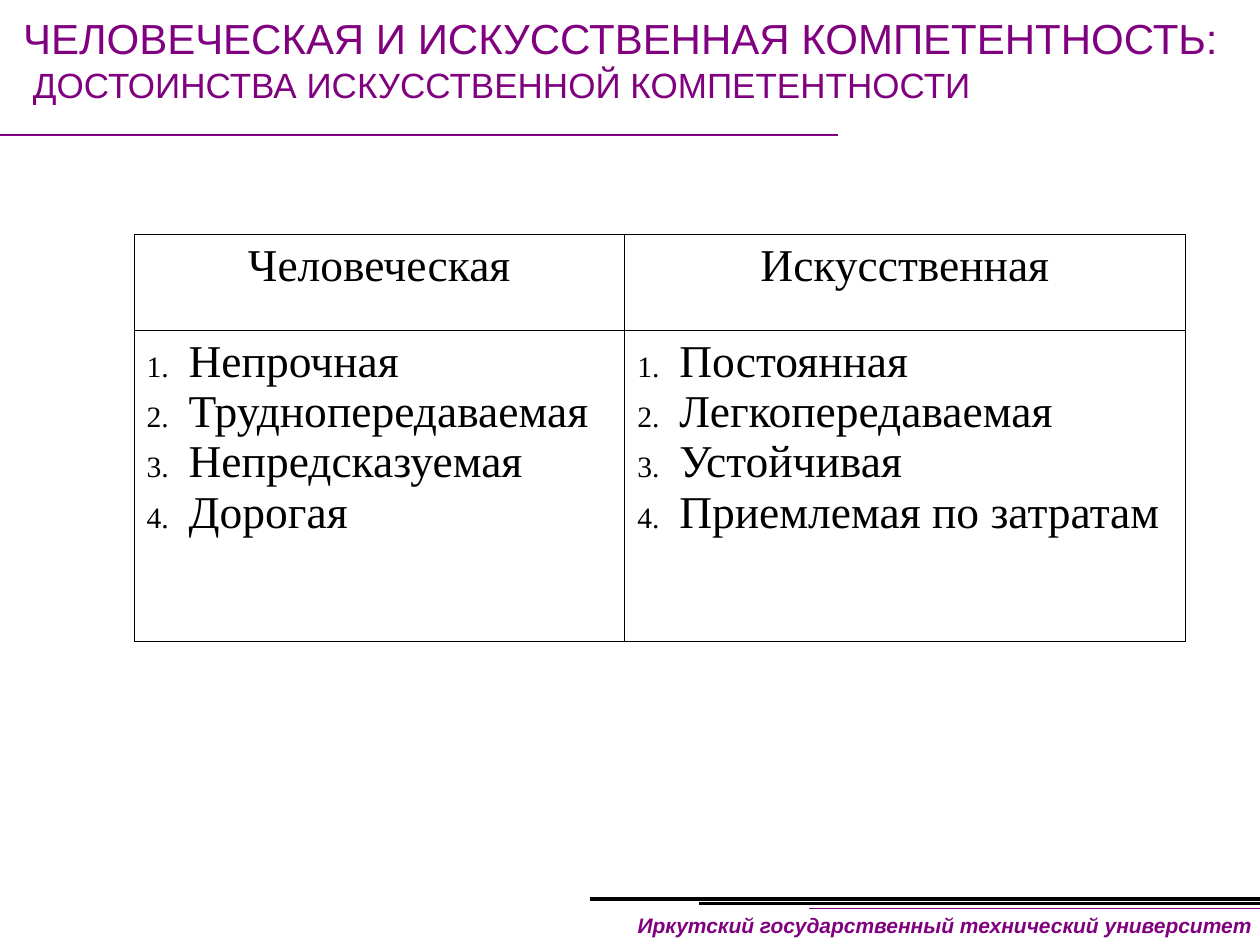
from pptx import Presentation
from pptx.dml.color import RGBColor
from pptx.enum.shapes import MSO_CONNECTOR
from pptx.enum.text import MSO_ANCHOR, MSO_AUTO_SIZE, PP_ALIGN
from pptx.oxml.xmlchemy import OxmlElement
from pptx.util import Pt

COLORS = {"accent": "800080", "ink": "000000"}
TITLE = [
    ("ЧЕЛОВЕЧЕСКАЯ И ИСКУССТВЕННАЯ КОМПЕТЕНТНОСТЬ:", 24),
    (" ДОСТОИНСТВА ИСКУССТВЕННОЙ КОМПЕТЕНТНОСТИ", 20),
]
UNIVERSITY = "Иркутский государственный технический университет"
COMPETENCES = [
    ("Человеческая", 280.4,
     ["Непрочная", "Труднопередаваемая", "Непредсказуемая", "Дорогая"]),
    ("Искусственная", 320.4,
     ["Постоянная", "Легкопередаваемая", "Устойчивая", "Приемлемая по затратам"]),
]
ROW_HEIGHTS = [54.7, 177.8]
TABLE_LEFT, TABLE_TOP = 76.6, 134
RULES = [
    (-3, 478.8, 77, "accent", 1),
    (462.2, 722.9, 519.1, "accent", 1),
    (399.6, 722.9, 516.2, "ink", 1.5),
    (337, 722.9, 513.8, "ink", 2.25),
]
LIST_INDENT = 24


def add_run(paragraph, text, size, font, color):
    run = paragraph.add_run()
    run.text = text
    run.font.size = Pt(size)
    run.font.name = font
    run.font.color.rgb = RGBColor.from_string(COLORS[color])
    return run


def add_child(parent, tag, **attributes):
    child = OxmlElement(tag)
    for key, value in attributes.items():
        child.set(key, str(value))
    parent.append(child)
    return child


def add_rule(slide, left, right, y, color, width):
    rule = slide.shapes.add_connector(
        MSO_CONNECTOR.STRAIGHT, Pt(left), Pt(y), Pt(right), Pt(y))
    rule.line.color.rgb = RGBColor.from_string(COLORS[color])
    rule.line.width = Pt(width)
    add_child(rule.element.spPr, "a:effectLst")


def add_title(slide):
    title = slide.shapes.title
    title.left, title.top, title.width, title.height = Pt(6), Pt(3.6), Pt(717), Pt(44)
    frame = title.text_frame
    frame.auto_size = MSO_AUTO_SIZE.NONE
    frame.vertical_anchor = MSO_ANCHOR.TOP
    paragraph = frame.paragraphs[0]
    paragraph.alignment = PP_ALIGN.LEFT
    for index, (line, size) in enumerate(TITLE):
        if index:
            paragraph.add_line_break()
        add_run(paragraph, line, size, "Arial", "accent")


def add_footer(slide):
    footer = slide.shapes.add_textbox(Pt(355.7), Pt(517.7), Pt(367.2), Pt(21.6))
    footer.text_frame.word_wrap = False
    paragraph = footer.text_frame.paragraphs[0]
    paragraph.alignment = PP_ALIGN.RIGHT
    run = add_run(paragraph, UNIVERSITY, 12, "Arial", "accent")
    run.font.bold = run.font.italic = True


def number_paragraph(paragraph):
    properties = paragraph._p.get_or_add_pPr()
    properties.set("marL", str(Pt(LIST_INDENT)))
    properties.set("indent", str(-Pt(LIST_INDENT)))
    bullet_color = add_child(properties, "a:buClr")
    add_child(bullet_color, "a:srgbClr", val=COLORS["ink"])
    add_child(properties, "a:buSzPct", val=65000)
    add_child(properties, "a:buFont", typeface="Times New Roman")
    add_child(properties, "a:buAutoNum", type="arabicPeriod")


def fill_cell(cell, lines, alignment, numbered):
    properties = cell._tc.get_or_add_tcPr()
    for side in ("L", "R", "T", "B"):
        border = add_child(properties, f"a:ln{side}", w=Pt(0.45))
        fill = add_child(border, "a:solidFill")
        add_child(fill, "a:srgbClr", val=COLORS["ink"])
    cell.fill.background()
    for index, line in enumerate(lines):
        frame = cell.text_frame
        paragraph = frame.add_paragraph() if index else frame.paragraphs[0]
        if numbered:
            number_paragraph(paragraph)
        paragraph.alignment = alignment
        add_run(paragraph, line, 26, "Times New Roman", "ink")


def add_comparison(slide):
    width = sum(column_width for _, column_width, _ in COMPETENCES)
    table = slide.shapes.add_table(
        len(ROW_HEIGHTS), len(COMPETENCES), Pt(TABLE_LEFT), Pt(TABLE_TOP),
        Pt(width), Pt(sum(ROW_HEIGHTS))).table
    table.first_row = table.horz_banding = False
    for row, height in zip(table.rows, ROW_HEIGHTS):
        row.height = Pt(height)
    for index, (heading, column_width, traits) in enumerate(COMPETENCES):
        table.columns[index].width = Pt(column_width)
        fill_cell(table.cell(0, index), [heading], PP_ALIGN.CENTER, False)
        fill_cell(table.cell(1, index), traits, PP_ALIGN.JUSTIFY, True)


def main():
    """Build the slide comparing human and artificial competence."""
    presentation = Presentation()
    presentation.slide_width, presentation.slide_height = Pt(720), Pt(540)
    slide = presentation.slides.add_slide(presentation.slide_layouts[5])
    add_footer(slide)
    for rule in RULES:
        add_rule(slide, *rule)
    add_title(slide)
    add_comparison(slide)
    presentation.save("out.pptx")


if __name__ == "__main__":
    main()
